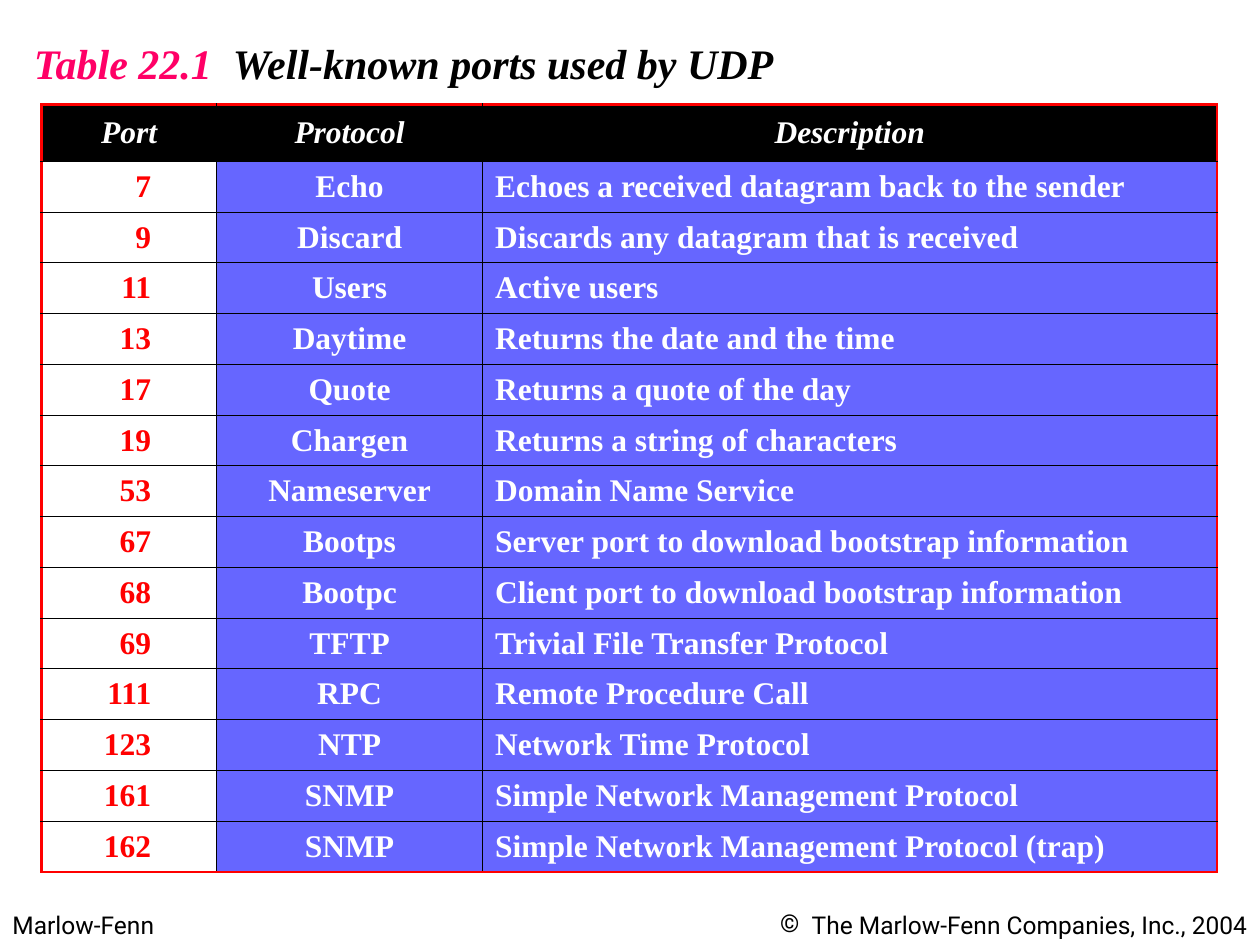
import pptx
import pptx.util
import pptx.dml.color
import pptx.enum.text
import pptx.oxml.ns
import lxml.etree

ALIGN = pptx.enum.text.PP_ALIGN
Inches, Pt = pptx.util.Inches, pptx.util.Pt

# Content
TITLE = [("Table 22.1  ", "accent"), ("Well-known ports used by UDP", "ink")]
PUBLISHER = "Marlow-Fenn"
COPYRIGHT = "The Marlow-Fenn Companies, Inc., 2004"
HEADER = ("Port", "Protocol", "Description")
PORTS = [
    ("7", "Echo", "Echoes a received datagram back to the sender"),
    ("9", "Discard", "Discards any datagram that is received"),
    ("11", "Users", "Active users"),
    ("13", "Daytime", "Returns the date and the time"),
    ("17", "Quote", "Returns a quote of the day"),
    ("19", "Chargen", "Returns a string of characters"),
    ("53", "Nameserver", "Domain Name Service"),
    ("67", "Bootps", "Server port to download bootstrap information"),
    ("68", "Bootpc", "Client port to download bootstrap information"),
    ("69", "TFTP", "Trivial File Transfer Protocol"),
    ("111", "RPC", "Remote Procedure Call"),
    ("123", "NTP", "Network Time Protocol"),
    ("161", "SNMP", "Simple Network Management Protocol"),
    ("162", "SNMP", "Simple Network Management Protocol (trap)"),
]

THEME = {
    "accent": "FF0066", "ink": "000000", "paper": "FFFFFF",
    "red": "FF0000", "violet": "6666FF",
    "serif": "Times New Roman", "sans": "Roboto",
    "title": 24, "cell": 18, "footer": 14,
    "frame": 1.47, "rule": 0.45,
}

# Layout in inches
WIDTH, HEIGHT = 10, 7.5
COLUMNS = (1.39, 2.11, 5.83)
TABLE_LEFT, TABLE_TOP, TABLE_HEIGHT = 0.33, 0.83, 6.09
HEADER_HEIGHT = 0.45
ROW_HEIGHT = (TABLE_HEIGHT - HEADER_HEIGHT) / len(PORTS)
PORT_MARGIN = 0.52   # lines the port numbers up on their last digit
FOOTER_TOP, FOOTER_HEIGHT = 7.17, 0.34
BULLET_INDENT = 0.25

# Per column: fill, text colour, alignment
BODY_STYLE = (
    ("paper", "red", ALIGN.RIGHT),
    ("violet", "paper", ALIGN.CENTER),
    ("violet", "paper", ALIGN.LEFT),
)
HEADER_STYLE = (("ink", "paper", ALIGN.CENTER),) * len(COLUMNS)


def rgb(color):
    return pptx.dml.color.RGBColor.from_string(THEME[color])


def add_run(paragraph, text, color, size, font, bold=False, italic=False):
    run = paragraph.add_run()
    run.text = text
    run.font.name, run.font.size = THEME[font], Pt(THEME[size])
    run.font.bold, run.font.italic = bold, italic
    run.font.color.rgb = rgb(color)


def add_text(slide, left, top, width, height, wrap=True):
    frame = slide.shapes.add_textbox(*map(Inches, (left, top, width, height))).text_frame
    frame.word_wrap = wrap
    return frame.paragraphs[0]


def add_child(parent, tag, **attributes):
    return lxml.etree.SubElement(parent, pptx.oxml.ns.qn(tag), **attributes)


def set_borders(cell, framed_sides):
    """Red frame on the outer sides, thin black rules elsewhere."""
    properties = cell._tc.get_or_add_tcPr()
    for position, side in enumerate("LRTB"):
        color, weight = ("red", "frame") if side in framed_sides else ("ink", "rule")
        line = lxml.etree.Element(pptx.oxml.ns.qn("a:ln" + side), w=str(Pt(THEME[weight])))
        add_child(add_child(line, "a:solidFill"), "a:srgbClr", val=THEME[color])
        properties.insert(position, line)


def add_port_table(slide):
    rows = [HEADER, *PORTS]
    last_row, last_column = len(rows) - 1, len(COLUMNS) - 1
    table = slide.shapes.add_table(
        len(rows), len(COLUMNS), Inches(TABLE_LEFT), Inches(TABLE_TOP),
        Inches(sum(COLUMNS)), Inches(TABLE_HEIGHT)).table
    table.first_row = table.horz_banding = False
    for column, width in zip(table.columns, COLUMNS):
        column.width = Inches(width)

    for r, texts in enumerate(rows):
        is_header = r == 0
        table.rows[r].height = Inches(HEADER_HEIGHT if is_header else ROW_HEIGHT)
        styles = HEADER_STYLE if is_header else BODY_STYLE
        for c, (text, (fill, color, alignment)) in enumerate(zip(texts, styles)):
            cell = table.cell(r, c)
            cell.vertical_anchor = pptx.enum.text.MSO_ANCHOR.MIDDLE
            cell.fill.solid()
            cell.fill.fore_color.rgb = rgb(fill)
            if alignment == ALIGN.RIGHT:
                cell.margin_right = Inches(PORT_MARGIN)
            paragraph = cell.text_frame.paragraphs[0]
            paragraph.alignment = alignment
            paragraph.space_before = Pt(4.5)
            add_run(paragraph, text, color, "cell", "serif", bold=True, italic=is_header)
            outer = {"L": c == 0, "R": c == last_column, "T": is_header, "B": r == last_row}
            set_borders(cell, [side for side, is_outer in outer.items() if is_outer])


def add_footer(slide):
    publisher = add_text(slide, 0, FOOTER_TOP, 2.42, FOOTER_HEIGHT)
    notice = add_text(slide, WIDTH / 2, FOOTER_TOP, WIDTH / 2, FOOTER_HEIGHT)
    notice.alignment = ALIGN.RIGHT
    for paragraph, text in ((publisher, PUBLISHER), (notice, COPYRIGHT)):
        paragraph.space_before = Pt(8.8)
        add_run(paragraph, text, "ink", "footer", "sans")

    # The copyright sign is the bullet of the notice
    properties = notice._p.get_or_add_pPr()
    properties.set("marL", str(Inches(BULLET_INDENT)))
    properties.set("indent", str(-Inches(BULLET_INDENT)))
    add_child(add_child(properties, "a:buClr"), "a:srgbClr", val=THEME["ink"])
    add_child(properties, "a:buFont", typeface=THEME["sans"])
    add_child(properties, "a:buChar", char="©")


def main():
    deck = pptx.Presentation()
    deck.slide_width, deck.slide_height = Inches(WIDTH), Inches(HEIGHT)
    slide = deck.slides.add_slide(deck.slide_layouts[6])

    add_footer(slide)
    heading = add_text(slide, 0.17, 0.25, 6.12, 0.5, wrap=False)
    for text, color in TITLE:
        add_run(heading, text, color, "title", "serif", bold=True, italic=True)
    add_port_table(slide)

    deck.save("out.pptx")


if __name__ == "__main__":
    main()
